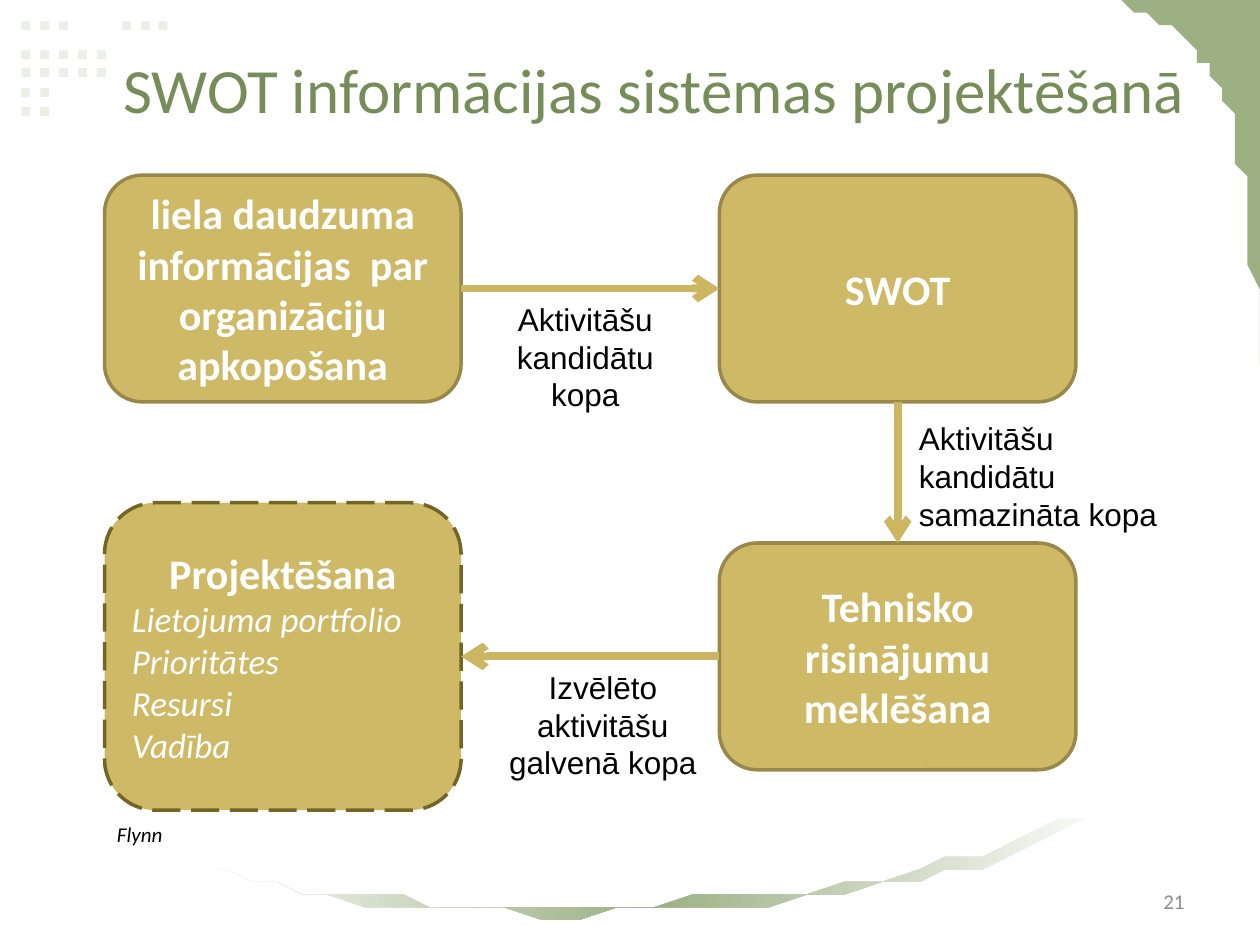
from copy import deepcopy

from lxml import etree
from pptx import Presentation, util as u
from pptx.dml.color import RGBColor
from pptx.enum import dml, shapes, text
from pptx.oxml.ns import qn

UNIT = u.Inches(0.1)
COLS, ROWS = 100, 75
WHITE = RGBColor(0xFF, 0xFF, 0xFF)
BLACK = RGBColor(0, 0, 0)
PALE = RGBColor(0xEB, 0xEF, 0xE6)
SAGE = RGBColor(0x9C, 0xB0, 0x84)
GREEN = RGBColor(0x76, 0x8D, 0x5A)
GRAY = RGBColor(0x8C, 0x8C, 0x8C)
GOLD = RGBColor(0xCE, 0xB9, 0x66)
EDGE = RGBColor(0x98, 0x89, 0x4B)
DARK = RGBColor(0x75, 0x65, 0x25)
ARROW = RGBColor(0xCC, 0xB6, 0x61)
MID, LEFT, RIGHT = text.PP_ALIGN.CENTER, text.PP_ALIGN.LEFT, text.PP_ALIGN.RIGHT


def grid(*vals):
    """Turn grid columns and rows into lengths."""
    return [round(v * UNIT) for v in vals]


def style(para, size, color, face="Calibri", align=LEFT, bold=False, slant=False):
    """Set the font and alignment of one paragraph."""
    para.alignment = align
    font = para.font
    font.name, font.size = face, u.Pt(size)
    font.bold, font.italic = bold, slant
    font.color.rgb = color


def label(slide, box, words, size, color, wrap=True, mid=False, **look):
    """Place one line of plain text in a box."""
    frame = slide.shapes.add_textbox(*grid(*box)).text_frame
    frame.word_wrap = wrap
    if mid:
        frame.vertical_anchor = text.MSO_ANCHOR.MIDDLE
    frame.text = words
    style(frame.paragraphs[0], size, color, **look)


def curve(ends, pulls, steps=30):
    """List points along a cubic curve between two ends."""
    (a, d), (b, c) = ends, pulls
    pts = []
    for i in range(steps + 1):
        t = i / steps
        s = 1 - t
        pts.append(tuple(s**3 * p + 3 * s * s * t * q + 3 * s * t * t * r + t**3 * v
                         for p, q, r, v in zip(a, b, c, d)))
    return pts


def outline(slide, pts):
    """Draw a closed sage outline through grid points."""
    build = slide.shapes.build_freeform(*pts[0], scale=UNIT)
    build.add_line_segments(pts[1:], close=True)
    shape = build.convert_to_shape()
    shape.shadow.inherit = False
    shape.line.fill.background()
    shape.fill.solid()
    shape.fill.fore_color.rgb = SAGE
    return shape


def dots(slide, box):
    """Draw the pale squares in the top left corner."""
    left, top, side = box
    cols = (0, 1.5, 3, 4.5, 6, 8, 9.5, 10.9)
    rows = {0: (0, 1, 2, 5, 6, 7), 2.3: range(5), 3.7: range(5),
            5.3: range(2), 6.8: range(2)}
    for row, picks in rows.items():
        for pick in picks:
            dot = slide.shapes.add_shape(
                shapes.MSO_SHAPE.RECTANGLE,
                *grid(left + cols[pick], top + row, side, side))
            dot.shadow.inherit = False
            dot.fill.solid()
            dot.fill.fore_color.rgb = PALE
            dot.line.fill.background()


def corner(slide, box):
    """Draw the curved corner at the top right."""
    left, top, wide, high = box
    ends = (left, top), (left + wide, top + high)
    pulls = [(left + wide * x, top + high * y) for x, y in ((0.73, 0.09), (0.9, 0.27))]
    outline(slide, curve(ends, pulls) + [(left + wide, top)])


def swoosh(slide, box):
    """Draw the fading arc along the bottom."""
    left, top, wide, high = box

    def edge(*marks):
        """Curve through four marks given as shares of the box."""
        a, b, c, d = [(left + wide * x, top + high * y) for x, y in marks]
        return curve((a, d), (b, c))

    low = edge((1, 0.07), (0.82, 1.17), (0.2, 1.24), (0, 0.57))
    high_edge = edge((0, 0.54), (0.2, 1.2), (0.82, 1.07), (1, 0))
    shape = outline(slide, low + high_edge)
    shape.fill.gradient()
    shape.fill.gradient_angle = 0
    stops = shape.fill.gradient_stops
    first = shape._element.spPr.find(".//" + qn("a:gs"))
    first.addnext(deepcopy(first))
    stops = shape.fill.gradient_stops
    for stop, spot, color in zip(stops, (0, 0.5, 1), (WHITE, SAGE, WHITE)):
        stop.position = spot
        stop.color.rgb = color


def card(slide, box, head, items=(), line=EDGE, dash=None):
    """Draw a rounded gold card with a heading and items."""
    shape = slide.shapes.add_shape(shapes.MSO_SHAPE.ROUNDED_RECTANGLE, *grid(*box))
    shape.shadow.inherit = False
    shape.fill.solid()
    shape.fill.fore_color.rgb = GOLD
    shape.line.color.rgb = line
    shape.line.width = u.Pt(2)
    if dash:
        shape.line.dash_style = dash
    frame = shape.text_frame
    frame.word_wrap = True
    frame.vertical_anchor = text.MSO_ANCHOR.MIDDLE
    frame.text = head
    style(frame.paragraphs[0], 24, WHITE, align=MID, bold=True)
    for item in items:
        para = frame.add_paragraph()
        para.text = item
        style(para, 20, WHITE, slant=True)


def arrow(slide, start, end):
    """Draw a thick arrow between two grid points."""
    link = slide.shapes.add_connector(
        shapes.MSO_CONNECTOR.STRAIGHT, *grid(*start, *end))
    link.line.color.rgb = ARROW
    link.line.width = u.Pt(4.5)
    etree.SubElement(link.line._get_or_add_ln(), qn("a:tailEnd"), type="arrow")
    etree.SubElement(link._element.spPr, qn("a:effectLst"))


def flow(slide, box):
    """Draw the four cards, their arrows and arrow labels."""
    left, top, wide, high = box
    card_w, card_h = 28.3, 18
    far = left + wide - card_w
    low = top + high - card_h - 3.2
    near = left + card_w
    mid = far + card_w / 2
    plan_h = 24.4
    plan = top + high - plan_h
    card(slide, (left, top, card_w, card_h),
         "liela daudzuma informācijas  par organizāciju apkopošana")
    card(slide, (far, top, card_w, card_h), "SWOT")
    card(slide, (far, low, card_w, card_h), "Tehnisko risinājumu meklēšana")
    card(slide, (left, plan, card_w, plan_h), "Projektēšana",
         ("Lietojuma portfolio", "Prioritātes", "Resursi", "Vadība"),
         DARK, dml.MSO_LINE.LONG_DASH)
    back = plan + plan_h / 2
    arrow(slide, (near, top + card_h / 2), (far, top + card_h / 2))
    arrow(slide, (mid, top + card_h), (mid, low))
    arrow(slide, (far, back), (near, back))
    notes = (
        ((near + 0.8, top + 9.4, 18.1, 10.1), "Aktivitāšu kandidātu kopa", MID),
        ((mid + 0.7, top + 18.9, 22, 10.1), "Aktivitāšu kandidātu samazināta kopa", LEFT),
        ((near + 2.4, back + 0.4, 17.7, 10.1), "Izvēlēto aktivitāšu galvenā kopa", MID),
    )
    for area, words, align in notes:
        label(slide, area, words, 18, BLACK, face="Arial", align=align)


def main():
    """Build the slide and save it."""
    deck = Presentation()
    deck.slide_width, deck.slide_height = grid(COLS, ROWS)
    slide = deck.slides.add_slide(deck.slide_layouts[6])
    dots(slide, (1.7, 1.7, 0.7))
    corner(slide, (88.1, 0, 11.9, 29.1))
    swoosh(slide, (14.2, 62.5, 75, 10))
    label(slide, (71.7, 69.5, 23.3, 4), "21", 12, GRAY, mid=True, align=RIGHT)
    label(slide, (8.3, 64.3, 24.2, 3.8), "Flynn", 12, BLACK, mid=True, slant=True)
    label(slide, (8.8, 3.5, 87, 7.1), "SWOT informācijas sistēmas projektēšanā",
          36, GREEN, wrap=False)
    flow(slide, (8.3, 13.9, 77.1, 50.4))
    deck.save("out.pptx")


if __name__ == "__main__":
    main()
